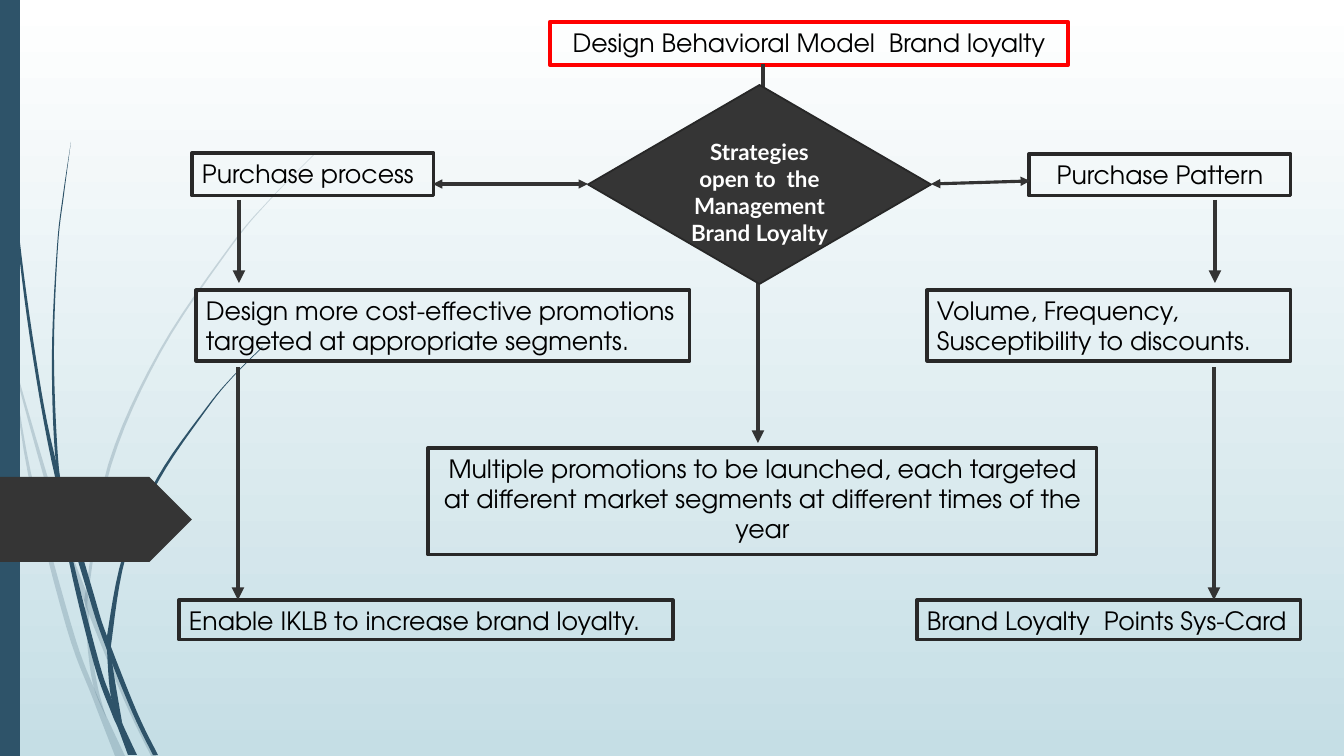
from dataclasses import dataclass
from lxml.etree import SubElement
from pptx import Presentation
from pptx.dml.color import RGBColor
from pptx.enum.shapes import MSO_CONNECTOR, MSO_SHAPE
from pptx.enum.text import MSO_ANCHOR, MSO_AUTO_SIZE, PP_ALIGN
from pptx.oxml.ns import qn
from pptx.util import Emu, Pt


@dataclass(frozen=True)
class Theme:
    blue: str = "2E5369"
    dark: str = "353535"
    rim: str = "272727"
    edge: str = "282828"
    link: str = "333333"
    red: str = "FF0000"
    ink: str = "000000"
    white: str = "FFFFFF"
    sky: str = "C5DEE5"
    font: str = "TeX Gyre Adventor"
    bold: str = "Lato"
    size: int = 18
    small: int = 16


THEME = Theme()
LEFT, MID = PP_ALIGN.LEFT, PP_ALIGN.CENTER

# Boxes: left, top, width, height, alignment, text
HEAD = (550, 22, 518, 43)
BOXES = [
    (927, 290, 364, 71, LEFT, "Volume, Frequency, Susceptibility to discounts."),
    (196, 290, 494, 71, LEFT,
     "Design more cost-effective promotions targeted at appropriate segments."),
    (428, 448, 669, 107, MID,
     "Multiple promotions to be launched, each targeted at different "
     "market segments at different times of the year"),
    (179, 600, 494, 40, LEFT, "Enable IKLB to increase brand loyalty."),
    (917, 600, 384, 40, LEFT, "Brand Loyalty  Points Sys-Card"),
    (1029, 154, 262, 42, MID, "Purchase Pattern"),
    (192, 153, 242, 43, LEFT, "Purchase process"),
]

# Links: start, end, line width, arrow at both ends
LINKS = [
    ((763, 64), (763, 131), 3, False),
    ((931, 184), (1030, 181), 2.25, True),
    ((433, 184), (588, 184), 2.25, True),
    ((1215, 200), (1215, 283), 3, False),
    ((239, 200), (239, 283), 3, False),
    ((758, 283), (758, 443), 3, False),
    ((238, 367), (238, 600), 3, False),
    ((1214, 367), (1214, 600), 3, False),
]

# Grass blades: two edges each, both from top to bottom
PALE = [
    ([(0, 284), (11, 350), (62, 524), (86, 591), (128, 698), (156, 756)],
     [(0, 301), (17, 379), (58, 526), (85, 604), (124, 700), (151, 756)]),
    ([(11, 353), (31, 473), (71, 624), (94, 688), (125, 756)],
     [(11, 353), (28, 474), (66, 626), (93, 699), (115, 756)]),
    ([(314, 154), (270, 199), (230, 246), (159, 351), (108, 465),
      (86, 589), (85, 604), (88, 651), (94, 688), (106, 717)],
     [(314, 155), (270, 200), (231, 247), (161, 352), (111, 466),
      (89, 589), (89, 615), (92, 651), (98, 688), (106, 717)]),
]
DEEP = [
    ([(4, 0), (5, 48), (8, 110), (19, 234), (36, 358), (55, 457),
      (94, 595), (107, 636), (137, 712), (158, 755)],
     [(3, 0), (4, 48), (7, 111), (17, 235), (33, 358), (56, 481),
      (89, 597), (107, 650), (133, 714), (153, 755)]),
    ([(57, 481), (73, 560), (99, 662), (111, 697), (123, 725), (137, 755)],
     [(57, 481), (69, 561), (94, 664), (112, 714), (118, 728), (128, 755)]),
    ([(71, 142), (63, 195), (57, 247), (52, 352), (55, 453), (65, 509)],
     [(71, 142), (64, 195), (58, 247), (54, 352), (58, 457), (65, 509)]),
    ([(262, 347), (233, 376), (206, 408), (157, 478), (123, 555),
      (107, 636), (107, 650), (111, 697), (123, 725)],
     [(263, 347), (233, 377), (207, 409), (159, 480), (126, 556),
      (112, 638), (112, 661), (122, 722), (123, 725)]),
]


def px(num):
    return Emu(round(num * 914400 / 100.8))


def tint(code):
    return RGBColor.from_string(code)


def style(item, vals):
    for key, val in vals.items():
        setattr(item, key, val)


def paint(shape, fill=None, line=None, wide=1):
    for part, code in ((shape.fill, fill), (shape.line.fill, line)):
        if code:
            part.solid()
            part.fore_color.rgb = tint(code)
        else:
            part.background()
    if line:
        shape.line.width = Pt(wide)


def place(shape, spot):
    style(shape, dict(zip(("left", "top", "width", "height"), map(px, spot))))


def write(shape, text, align, face, size, code, bold=False,
          anchor=MSO_ANCHOR.TOP, top=5):
    frame = shape.text_frame
    style(frame, {"text": text, "word_wrap": True, "vertical_anchor": anchor,
                  "auto_size": MSO_AUTO_SIZE.NONE, "margin_top": px(top),
                  "margin_left": px(10), "margin_right": px(10)})
    para = frame.paragraphs[0]
    para.alignment = align
    for run in para.runs:
        style(run.font, {"name": face, "size": Pt(size), "bold": bold})
        run.font.color.rgb = tint(code)


def add_form(slide, kind, spot, **look):
    shape = slide.shapes.add_shape(kind, *map(px, spot))
    shape.shadow.inherit = False
    paint(shape, **look)
    return shape


def add_box(slide, spot, align, text):
    box = slide.shapes.add_textbox(*map(px, spot))
    paint(box, line=THEME.edge, wide=2.25)
    write(box, text, align, THEME.font, THEME.size, THEME.ink)


def add_link(slide, start, end, wide, both):
    link = slide.shapes.add_connector(
        MSO_CONNECTOR.STRAIGHT, *map(px, start + end))
    link.line.color.rgb = tint(THEME.link)
    link.line.width = Pt(wide)
    # Arrowheads and no shadow
    line = link.line._get_or_add_ln()
    for tag in ("a:headEnd", "a:tailEnd") if both else ("a:tailEnd",):
        SubElement(line, qn(tag), type="triangle")
    SubElement(link._element.spPr, qn("a:effectLst"))


def smooth(dots, steps=6):
    """Trace a Catmull-Rom curve through the dots."""
    ends = [dots[0], *dots, dots[-1]]
    curve = []
    for a, b, c, d in zip(ends, ends[1:], ends[2:], ends[3:]):
        for step in range(steps):
            t = step / steps
            curve.append(tuple(
                q + t / 2 * (r - p + t * (2 * p - 5 * q + 4 * r - s
                                          + t * (3 * (q - r) + s - p)))
                for p, q, r, s in zip(a, b, c, d)))
    return curve + [dots[-1]]


def add_blade(slide, near, far, alpha=None):
    dots = [(px(x), px(y)) for x, y in smooth(near) + smooth(far)[::-1]]
    pen = slide.shapes.build_freeform(*dots[0], scale=1.0)
    pen.add_line_segments(dots[1:], close=True)
    blade = pen.convert_to_shape()
    blade.shadow.inherit = False
    paint(blade, THEME.blue)
    if alpha:
        hue = blade._element.spPr.find(".//" + qn("a:srgbClr"))
        SubElement(hue, qn("a:alpha"), val=str(alpha * 1000))


def add_back(slide):
    fill = slide.background.fill
    fill.gradient()
    fill.gradient_angle = 270
    for stop, code in zip(fill.gradient_stops, (THEME.white, THEME.sky)):
        stop.color.rgb = tint(code)
    for near, far in PALE:
        add_blade(slide, near, far, 20)
    for near, far in DEEP:
        add_blade(slide, near, far)
    add_form(slide, MSO_SHAPE.RECTANGLE, (0, 0, 20, 756), fill=THEME.blue)
    add_form(slide, MSO_SHAPE.PENTAGON, (0, 477, 192, 85), fill=THEME.dark)


def main():
    deck = Presentation()
    style(deck, {"slide_width": px(1344), "slide_height": px(756)})
    slide = deck.slides.add_slide(deck.slide_layouts[5])
    add_back(slide)

    # Title
    title = slide.shapes.title
    place(title, HEAD)
    paint(title, line=THEME.red, wide=3)
    write(title, "Design Behavioral Model  Brand loyalty", MID,
          THEME.font, THEME.size, THEME.ink)

    # Flow
    for *spot, align, text in BOXES:
        add_box(slide, spot, align, text)
    for link in LINKS:
        add_link(slide, *link)
    core = add_form(slide, MSO_SHAPE.DIAMOND, (588, 85, 343, 199),
                    fill=THEME.dark, line=THEME.rim, wide=1.25)
    write(core, "Strategies\vopen to  the Management Brand Loyalty", MID,
          THEME.bold, THEME.small, THEME.white, True, MSO_ANCHOR.MIDDLE, 20)

    deck.save("out.pptx")


main()
